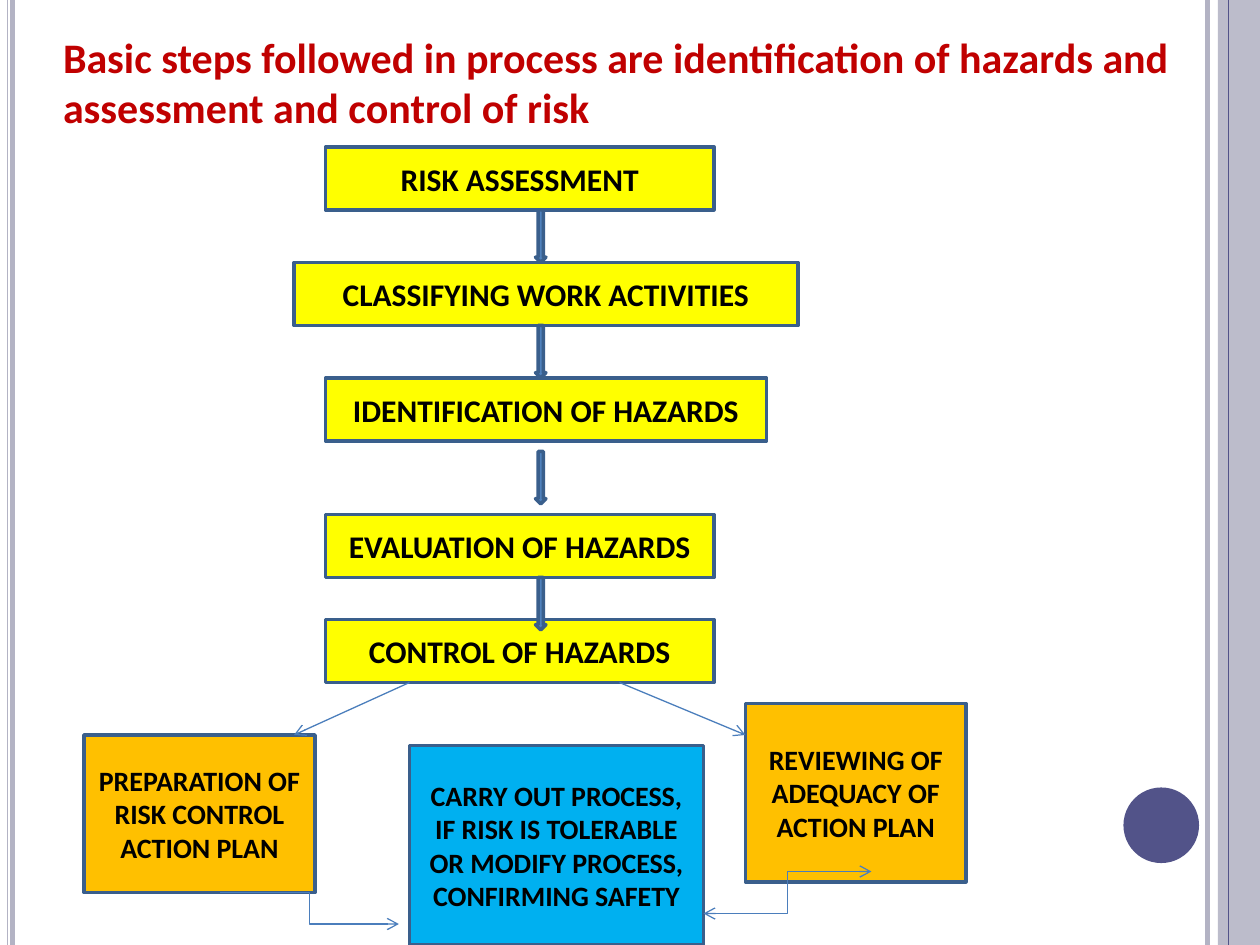
from typing import NamedTuple

from lxml.etree import SubElement
from pptx import Presentation
from pptx.dml.color import RGBColor
from pptx.enum.shapes import MSO_CONNECTOR as Conn, MSO_SHAPE as Shape
from pptx.enum.text import MSO_ANCHOR as Anchor, PP_ALIGN as Align
from pptx.oxml.ns import qn
from pptx.util import Pt

FONT = "Calibri"
COLORS = {
    "title": "C00000", "text": "000000", "border": "3A5F8C",
    "step": "FFFF00", "plan": "FFC000", "process": "00B0F0",
    "arrow": "4F81BD", "link": "4B7EBC",
    "rail": "B3B3C4", "accent": "525389",
}


class Box(NamedTuple):
    text: str
    left: float
    top: float
    width: float
    height: float = 36
    fill: str = "step"
    size: float = 18


class Link(NamedTuple):
    start: tuple[float, float]
    end: tuple[float, float]
    kind: Conn = Conn.STRAIGHT
    color: str = "link"
    weight: float = 0.75
    heads: tuple[str, ...] = ("tailEnd",)


RAILS = [  # x, colour, weight
    (690, "rail", 3), (7.2, "rail", 2.7), (4.3, "rail", 0.9),
    (702, "accent", 1),
]
BOXES = [
    Box("RISK ASSESSMENT", 186, 84, 222),
    Box("CLASSIFYING WORK ACTIVITIES", 168, 150, 288),
    Box("IDENTIFICATION OF HAZARDS", 186, 216, 252),
    Box("EVALUATION OF HAZARDS", 186, 294, 222),
    Box("CONTROL OF HAZARDS", 186, 354, 222),
    Box("PREPARATION OF RISK CONTROL ACTION PLAN",
        48, 420, 132, 90, "plan", 16),
    Box("REVIEWING OF ADEQUACY OF ACTION PLAN",
        426, 402, 126, 102, "plan", 16),
    Box("CARRY OUT PROCESS, IF RISK IS TOLERABLE OR MODIFY PROCESS, "
        "CONFIRMING SAFETY", 234, 426, 168, 114, "process", 16),
]
ARROW_TOPS = [120, 186, 258, 330]
LINKS = [
    Link((354, 390), (426, 420)),
    Link((234, 390), (168, 420)),
    Link((126, 510), (228, 528), Conn.ELBOW),
    Link((498, 498), (402, 522), Conn.ELBOW, heads=("headEnd", "tailEnd")),
]


def rgb(name: str) -> RGBColor:
    return RGBColor.from_string(COLORS[name])


def write(sp, text: str, *, size: float, color: str = "text",
          align: Align = Align.CENTER, anchor: Anchor = Anchor.MIDDLE) -> None:
    tf = sp.text_frame
    tf.word_wrap = True
    tf.vertical_anchor = anchor
    p = tf.paragraphs[0]
    p.alignment = align
    r = p.add_run()
    r.text = text
    r.font.name, r.font.size, r.font.bold = FONT, Pt(size), True
    r.font.color.rgb = rgb(color)


def draw_shape(slide, kind: Shape, left: float, top: float, width: float,
               height: float, fill: str, border: str | None = "border"):
    sp = slide.shapes.add_shape(kind, Pt(left), Pt(top), Pt(width), Pt(height))
    sp.shadow.inherit = False
    sp.fill.solid()
    sp.fill.fore_color.rgb = rgb(fill)
    if border:
        sp.line.color.rgb = rgb(border)
        sp.line.width = Pt(2)
    else:
        sp.line.fill.background()
    return sp


def draw_link(slide, link: Link) -> None:
    cx = slide.shapes.add_connector(
        link.kind, *(Pt(v) for v in link.start + link.end))
    cx.line.color.rgb = rgb(link.color)
    cx.line.width = Pt(link.weight)
    ln = cx.line._get_or_add_ln()
    for head in link.heads:
        SubElement(ln, qn(f"a:{head}"), type="arrow")
    SubElement(cx._element.spPr, qn("a:effectLst"))


def draw_frame(slide) -> None:
    band = draw_shape(slide, Shape.RECTANGLE, 696, 0, 24, 540, "rail", None)
    color = band._element.spPr.find(f".//{qn('a:srgbClr')}")
    SubElement(color, qn("a:alpha"), val="87000")
    for x, rail_color, weight in RAILS:
        draw_link(slide, Link((x, 0), (x, 540), color=rail_color,
                              weight=weight, heads=()))
    draw_shape(slide, Shape.OVAL, 642, 450, 43.2, 43.2, "accent", None)


def draw_title(slide) -> None:
    sp = slide.shapes.add_textbox(Pt(36), Pt(18), Pt(636), Pt(58))
    tf = sp.text_frame
    tf.margin_left = tf.margin_right = tf.margin_top = tf.margin_bottom = 0
    write(sp, "Basic steps followed in process are identification of hazards "
          "and assessment and control of risk", size=24, color="title",
          align=Align.LEFT, anchor=Anchor.TOP)


def main() -> None:
    prs = Presentation()
    prs.slide_width, prs.slide_height = Pt(720), Pt(540)
    slide = prs.slides.add_slide(prs.slide_layouts[6])

    # Side rails, band and circle, then the heading
    draw_frame(slide)
    draw_title(slide)

    # Flowchart boxes
    for box in BOXES:
        sp = draw_shape(slide, Shape.RECTANGLE, box.left, box.top,
                        box.width, box.height, box.fill)
        write(sp, box.text, size=box.size)

    # Block arrows between the steps
    for top in ARROW_TOPS:
        draw_shape(slide, Shape.DOWN_ARROW, 306, top, 6, 30, "arrow")

    # Links to the follow-up actions
    for link in LINKS:
        draw_link(slide, link)

    prs.save("out.pptx")


if __name__ == "__main__":
    main()
